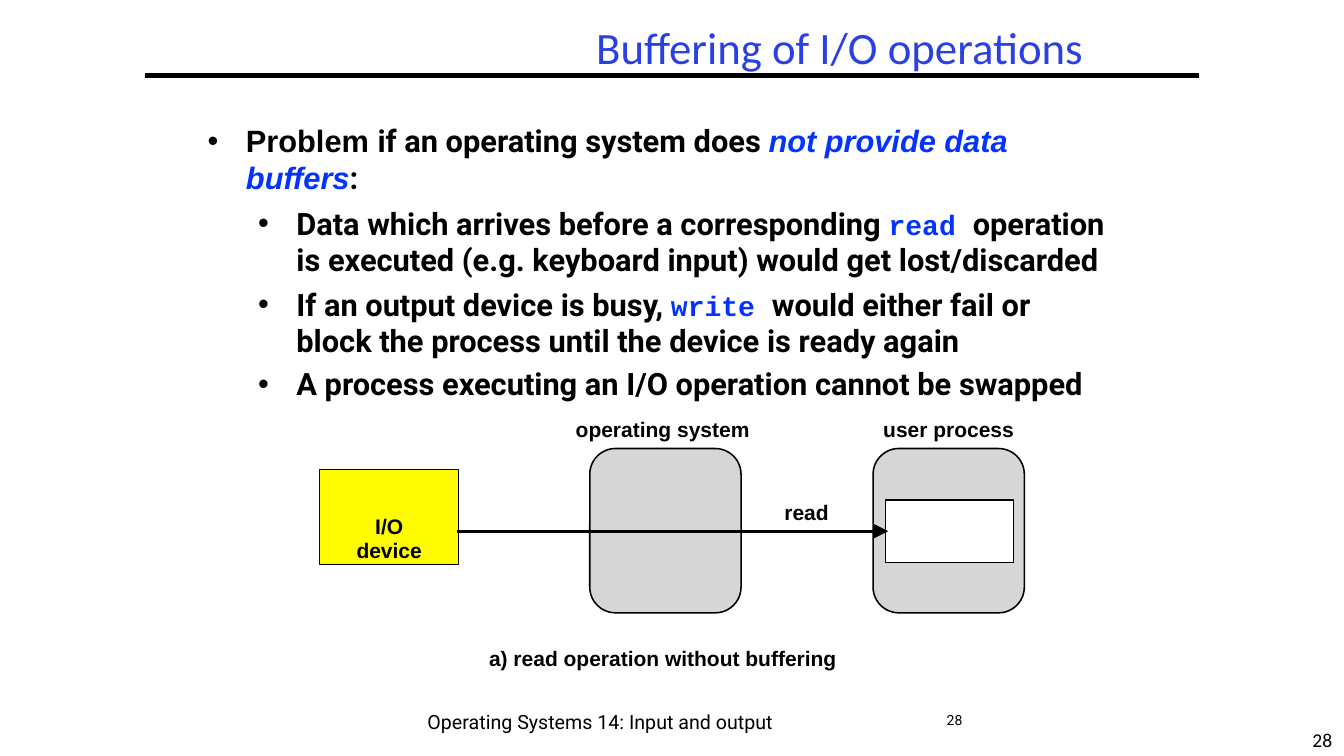
import pptx
import pptx.dml.color
import pptx.enum.shapes
import pptx.enum.text
import pptx.oxml
import pptx.oxml.ns
import pptx.util
from lxml import etree

Inches, Pt = pptx.util.Inches, pptx.util.Pt
SHAPE = pptx.enum.shapes.MSO_SHAPE
ALIGN = pptx.enum.text.PP_ALIGN
ANCHOR = pptx.enum.text.MSO_ANCHOR

THEME = {
    "ink": "000000", "title": "2A40E2", "accent": "0433FF", "paper": "FFFFFF",
    "device": "FFFB00", "memory": "D6D6D6",
    "title_pt": 32, "body_pt": 22, "code_pt": 20, "label_pt": 15,
    "footer_pt": 14, "page_pt": 10,
    "head_font": "Calibri", "label_font": "Arial",
    "body_font": "Roboto", "code_font": "Courier New",
}

# Run styles: font, size, colour, bold, italic
STYLES = {
    "title": ("head_font", "title_pt", "title", False, False),
    "lead": ("label_font", "body_pt", "ink", True, False),
    "body": ("body_font", "body_pt", "ink", True, False),
    "stress": ("label_font", "body_pt", "accent", True, True),
    "code": ("code_font", "code_pt", "accent", True, False),
    "label": ("label_font", "label_pt", "ink", True, False),
    "footer": ("body_font", "footer_pt", "ink", False, False),
    "page": ("body_font", "page_pt", "ink", False, False),
    "corner": ("head_font", "footer_pt", "ink", False, False),
}

TITLE = "Buffering of I/O operations"
# Bullets: level, space before, line spacing, runs of (text, style)
BULLETS = [
    (0, 0, None, [("Problem ", "lead"), ("if an operating system does ", "body"),
                  ("not provide data buffers", "stress"), (":", "body")]),
    (1, 6.5, 26, [("Data which arrives before a corresponding ", "body"), ("read ", "code"),
                  ("operation is executed (e.g. keyboard input) would get lost/discarded", "body")]),
    (1, 5.8, 26, [("If an output device is busy, ", "body"), ("write ", "code"),
                  ("would either fail or block the process until the device is ready again", "body")]),
    (1, 4.6, None, [("A process executing an I/O operation cannot be swapped", "body")]),
]
LEVELS = [(0.39, 0), (0.89, 0.15)]  # left and right margin of each level
HANG = 0.38

# Single-line texts: text, style, box
CAPTIONS = [
    ("operating system", "label", (5.7, 4.12, 1.75, 0.27)),
    ("user process", "label", (8.75, 4.12, 1.32, 0.27)),
    ("read", "label", (7.77, 4.95, 0.47, 0.27)),
    ("a) read operation without buffering", "label", (4.84, 6.39, 3.48, 0.27)),
    ("Operating Systems 14: Input and output", "footer", (4.23, 7.03, 3.47, 0.25)),
    ("28", "page", (9.38, 7.05, 0.21, 0.18)),
]
DEVICE = ("I/O device", (3.17, 4.66, 1.38, 0.94))
MEMORY_LEFTS = [5.85, 8.66]
MEMORY_TOP, MEMORY_SIZE = 4.45, (1.5, 1.63)
USER_BUFFER = (8.78, 4.96, 1.27, 0.62)
READ_PATH = (4.53, 5.27, 8.81, 5.27)
TITLE_RULE = (1.44, 0.75, 11.89, 0.75)


def color(key):
    return pptx.dml.color.RGBColor.from_string(THEME[key])


def write(frame, paragraphs, align=ALIGN.LEFT, anchor=ANCHOR.TOP,
          insets=(0, 0, 0, 0), wrap=True, spacing=None):
    """Fill a frame with (level, space before, line spacing, runs) tuples or one (text, style) run."""
    frame.word_wrap = wrap
    frame.vertical_anchor = anchor
    (frame.margin_left, frame.margin_top,
     frame.margin_right, frame.margin_bottom) = map(Inches, insets)
    if isinstance(paragraphs, tuple):
        paragraphs = [(None, 0, spacing, [paragraphs])]
    for i, (level, before, leading, runs) in enumerate(paragraphs):
        par = frame.add_paragraph() if i else frame.paragraphs[0]
        par.alignment = align
        if level is not None:
            add_bullet(par, level)
        if before:
            par.space_before = Pt(before)
        if leading:
            par.line_spacing = Pt(leading)
        for text, style in runs:
            font, size, ink, bold, italic = STYLES[style]
            run = par.add_run()
            run.text = text
            run.font.name, run.font.size = THEME[font], Pt(THEME[size])
            run.font.bold, run.font.italic = bold, italic
            run.font.color.rgb = color(ink)


def add_bullet(par, level):
    left, right = LEVELS[level]
    par.level = level
    props = par._p.get_or_add_pPr()
    props.set("marL", str(Inches(left)))
    props.set("marR", str(Inches(right)))
    props.set("indent", str(-Inches(HANG)))
    etree.SubElement(props, pptx.oxml.ns.qn("a:buFont")).set("typeface", THEME["label_font"])
    etree.SubElement(props, pptx.oxml.ns.qn("a:buChar")).set("char", "•")


def add_text(slide, box, paragraphs, **layout):
    write(slide.shapes.add_textbox(*map(Inches, box)).text_frame, paragraphs, **layout)


def add_block(slide, kind, box, fill, weight):
    block = slide.shapes.add_shape(kind, *map(Inches, box))
    block.shadow.inherit = False
    block.fill.solid()
    block.fill.fore_color.rgb = color(fill)
    block.line.color.rgb = color("ink")
    block.line.width = Pt(weight)
    return block


def add_line(slide, ends, weight, arrow=False):
    line = slide.shapes.add_connector(
        pptx.enum.shapes.MSO_CONNECTOR.STRAIGHT, *map(Inches, ends))
    line.line.color.rgb = color("ink")
    line.line.width = Pt(weight)
    props = line._element.spPr
    if arrow:
        head = etree.SubElement(line.line._get_or_add_ln(), pptx.oxml.ns.qn("a:tailEnd"))
        for key, value in (("type", "triangle"), ("w", "lg"), ("len", "lg")):
            head.set(key, value)
    etree.SubElement(props, pptx.oxml.ns.qn("a:effectLst"))


def main():
    deck = pptx.Presentation()
    deck.slide_width, deck.slide_height = Inches(13.33), Inches(7.5)
    slide = deck.slides.add_slide(deck.slide_layouts[6])

    add_text(slide, (12.9, 7.17, 0.43, 0.33), ("28", "corner"), align=ALIGN.CENTER,
             insets=(0.1, 0.05, 0.1, 0.05), wrap=False)
    add_line(slide, TITLE_RULE, 3)
    add_text(slide, (3.11, 0.18, 10.44, 0.55), (TITLE, "title"),
             align=ALIGN.CENTER, anchor=ANCHOR.MIDDLE, insets=(0, 0.01, 0, 0))
    add_text(slide, (2.05, 1.12, 9.06, 3.65), BULLETS, insets=(0, 0.09, 0, 0))

    device_name, device_box = DEVICE
    device = add_block(slide, SHAPE.RECTANGLE, device_box, "device", 1)
    write(device.text_frame, (device_name, "label"), align=ALIGN.CENTER,
          insets=(0.3, 0.45, 0.3, 0), spacing=17)
    for left in MEMORY_LEFTS:
        memory = add_block(slide, SHAPE.ROUNDED_RECTANGLE,
                           (left, MEMORY_TOP, *MEMORY_SIZE), "memory", 1.1)
        memory.adjustments[0] = 0.17
    add_block(slide, SHAPE.RECTANGLE, USER_BUFFER, "paper", 1)
    add_line(slide, READ_PATH, 2, arrow=True)

    for text, style, box in CAPTIONS:
        add_text(slide, box, (text, style), insets=(0.01, 0.01, 0, 0), wrap=False)

    deck.save("out.pptx")


if __name__ == "__main__":
    main()
